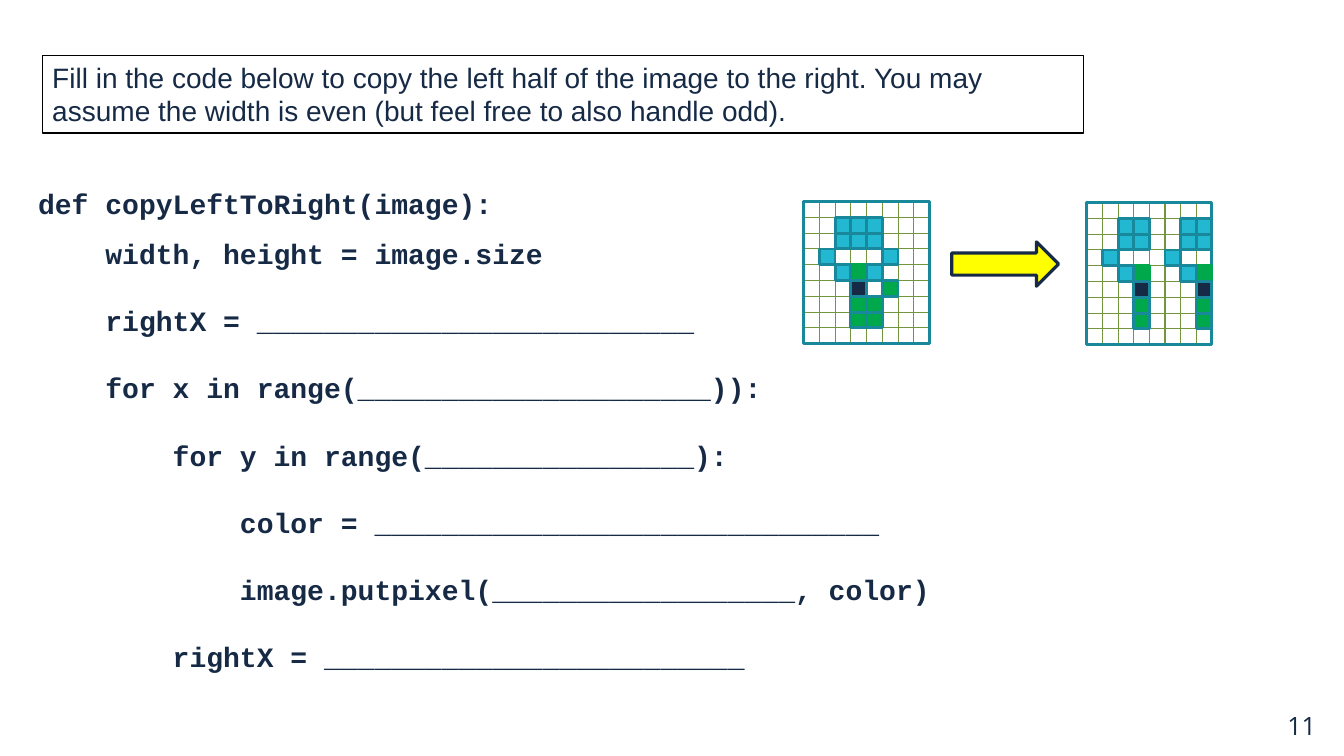
from dataclasses import dataclass

from lxml.etree import SubElement
from pptx import Presentation
from pptx.dml.color import RGBColor
from pptx.enum.shapes import MSO_CONNECTOR as Connector, MSO_SHAPE as Shape
from pptx.enum.text import MSO_ANCHOR as Anchor, PP_ALIGN as Align
from pptx.oxml.ns import qn
from pptx.util import Inches, Pt


@dataclass(frozen=True)
class Theme:
    ink: str = "162A46"
    paper: str = "FFFFFF"
    frame: str = "000000"
    border: str = "1A889B"
    grid: str = "73953E"
    petal: str = "23B8D1"
    leaf: str = "00A84C"
    arrow: str = "FFFF00"
    prose_font: str = "Arial"
    code_font: str = "Courier New"
    number_font: str = "Open Sans"
    body_size: float = 20
    number_size: float = 18
    thin: float = 0.75
    pixel_line: float = 2
    arrow_line: float = 2.25


THEME = Theme()

PIXEL_COLORS = {
    "L": (THEME.leaf, THEME.leaf),
    "B": (THEME.petal, THEME.border),
    "K": (THEME.ink, THEME.border),
    "G": (THEME.leaf, THEME.border),
}

FLOWER = [
    "........",
    "..BBB...",
    "..BBB...",
    ".B...B..",
    "..BLB...",
    "...K.G..",
    "...GG...",
    "...GG...",
    "........",
]
REPEATED_HALF = [row[:4] * 2 for row in FLOWER]

INSTRUCTION = (
    "Fill in the code below to copy the left half of the image to the right. "
    "You may assume the width is even (but feel free to also handle odd)."
)

CODE = [
    (0, "def copyLeftToRight(image):", 0),
    (1, "width, height = image.size", 0),
    (1, "rightX = " + "_" * 26, 12),
    (1, "for x in range(" + "_" * 21 + ")):", 12),
    (2, "for y in range(" + "_" * 16 + "):", 12),
    (3, "color = " + "_" * 30, 12),
    (3, "image.putpixel(" + "_" * 18 + ", color)", 12),
    (2, "rightX = " + "_" * 25, 12),
]


def add_block(shapes, box, kind=Shape.RECTANGLE, fill=None, line=None, weight=THEME.thin):
    block = shapes.add_shape(kind, *map(Inches, box))
    block.shadow.inherit = False
    if fill:
        block.fill.solid()
        block.fill.fore_color.rgb = RGBColor.from_string(fill)
    else:
        block.fill.background()
    if line:
        block.line.color.rgb = RGBColor.from_string(line)
        block.line.width = Pt(weight)
    else:
        block.line.fill.background()
    return block


def add_line(shapes, start, end):
    line = shapes.add_connector(Connector.STRAIGHT, *map(Inches, (*start, *end)))
    line.line.color.rgb = RGBColor.from_string(THEME.grid)
    line.line.width = Pt(THEME.thin)
    SubElement(line._element.spPr, qn("a:effectLst"))


def write_run(paragraph, text, font, size, bold=False):
    paragraph.alignment = Align.LEFT
    run = paragraph.add_run()
    run.text = text
    run.font.name = font
    run.font.size = Pt(size)
    run.font.bold = bold
    run.font.color.rgb = RGBColor.from_string(THEME.ink)


def add_instruction(slide, box):
    frame = add_block(slide.shapes, box, line=THEME.frame).text_frame
    frame.word_wrap = True
    frame.vertical_anchor = Anchor.TOP
    write_run(frame.paragraphs[0], INSTRUCTION, THEME.prose_font, THEME.body_size)


def add_code(slide, box):
    frame = add_block(slide.shapes, box, fill=THEME.paper).text_frame
    frame.word_wrap = True
    frame.vertical_anchor = Anchor.TOP
    for index, (depth, statement, gap) in enumerate(CODE):
        paragraph = frame.add_paragraph() if index else frame.paragraphs[0]
        paragraph.line_spacing = 1.5
        paragraph.space_before = Pt(gap)
        indented = "    " * depth + statement
        write_run(paragraph, indented, THEME.code_font, THEME.body_size, bold=True)


def add_pixel_image(slide, box, pixels, closing_line=False):
    left, top, width, height = box
    rows, columns = len(pixels), len(pixels[0])
    cell_width, cell_height = width / columns, height / rows
    shapes = slide.shapes.add_group_shape().shapes
    for row in range(1, rows):
        y = top + row * cell_height
        add_line(shapes, (left, y), (left + width, y))
    for column in range(1, columns + closing_line):
        x = left + column * cell_width
        add_line(shapes, (x, top), (x, top + height))
    add_block(shapes, box, line=THEME.border, weight=THEME.pixel_line)
    for key, (fill, line) in PIXEL_COLORS.items():
        for row, codes in enumerate(pixels):
            for column, code in enumerate(codes):
                if code == key:
                    pixel_box = (left + column * cell_width, top + row * cell_height,
                                 cell_width, cell_height)
                    add_block(shapes, pixel_box, fill=fill, line=line,
                              weight=THEME.pixel_line)


def add_transformation(slide, box):
    left, top, width, height = box
    source_width, result_width = 1.25, 1.24
    add_pixel_image(slide, (left, top, source_width, height), FLOWER)
    add_block(slide.shapes, (left + 1.47, top + 0.4, 1.06, 0.44), Shape.RIGHT_ARROW,
              THEME.arrow, THEME.ink, THEME.arrow_line)
    result_box = (left + width - result_width, top + 0.01, result_width, height)
    add_pixel_image(slide, result_box, REPEATED_HALF, closing_line=True)


def add_slide_number(slide, box):
    frame = slide.shapes.add_textbox(*map(Inches, box)).text_frame
    frame.word_wrap = True
    write_run(frame.paragraphs[0], "11", THEME.number_font, THEME.number_size)


def main():
    deck = Presentation()
    deck.slide_width, deck.slide_height = Inches(13.33), Inches(7.5)
    slide = deck.slides.add_slide(deck.slide_layouts[6])
    add_slide_number(slide, (12.67, 7, 0.5, 0.4))
    add_code(slide, (0.28, 1.63, 12.33, 5.11))
    add_instruction(slide, (0.42, 0.55, 10.33, 0.77))
    add_transformation(slide, (7.97, 2, 4.05, 1.41))
    deck.save("out.pptx")


if __name__ == "__main__":
    main()
